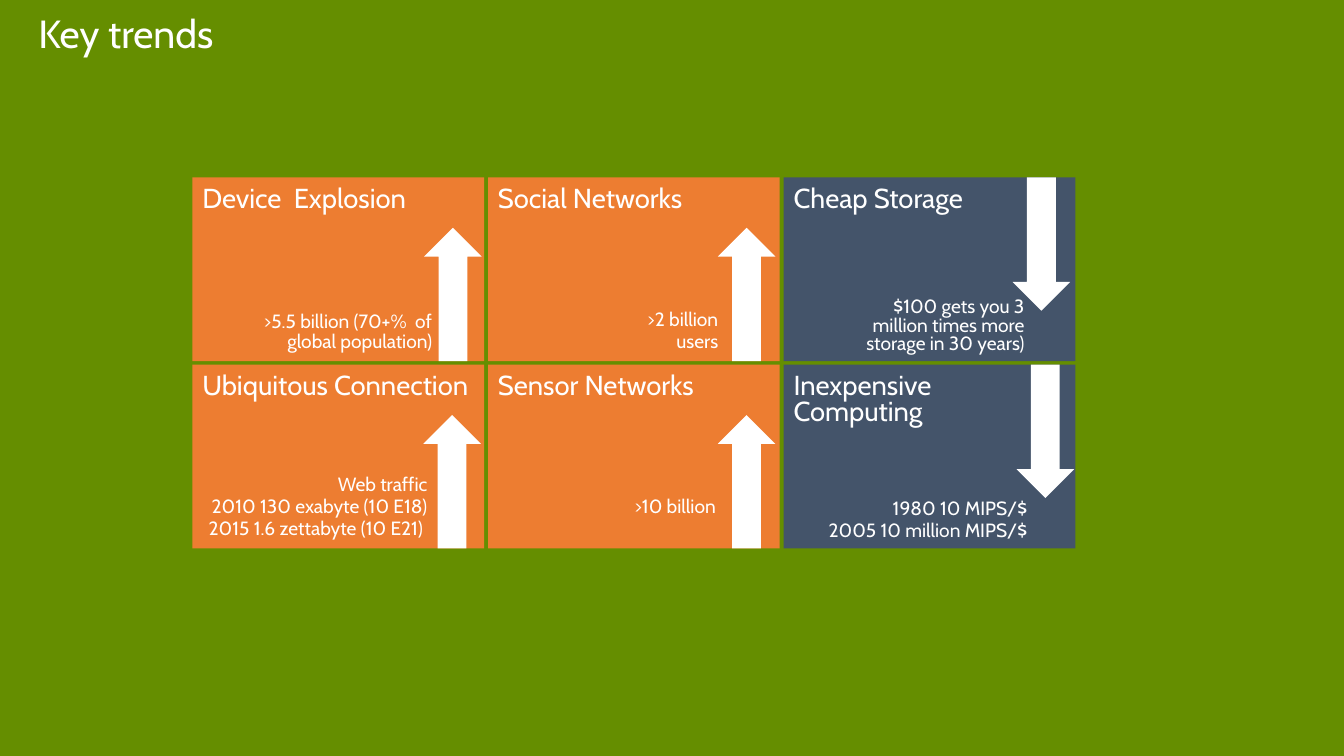
import pptx
import pptx.util
import pptx.dml.color
import pptx.enum.shapes
import pptx.enum.text

Cm = pptx.util.Cm
Pt = pptx.util.Pt
Kind = pptx.enum.shapes.MSO_SHAPE
Align = pptx.enum.text.PP_ALIGN
Anchor = pptx.enum.text.MSO_ANCHOR

GREEN, ORANGE, SLATE, WHITE = "658E00", "ED7D31", "44546A", "FFFFFF"
WIDE, HIGH = 7.35, 4.63
STEP_X, STEP_Y = 7.45, 4.72

# name, fill, rising, arrow left, note right, note top, note width, spacing, note
TRENDS = [
    ("Device  Explosion", ORANGE, True, 5.84, 6.04, 3.38, 5.0, 0.9,
     [">5.5 billion (70+%  of global population)"]),
    ("Social Networks", ORANGE, True, 5.79, 5.8, 3.38, 4.45, 0.8,
     [">2 billion", "users"]),
    ("Cheap Storage", SLATE, False, 5.77, 6.07, 3.07, 4.4, 0.8,
     ["$100 gets you 3 million times more storage in 30 years)"]),
    ("Ubiquitous Connection", ORANGE, True, 5.82, 5.92, 2.82, 6.1, 0.8,
     ["Web traffic", "2010 130 exabyte (10 E18)", "2015 1.6 zettabyte (10 E21) "]),
    ("Sensor Networks", ORANGE, True, 5.79, 5.74, 3.38, 4.5, 0.8,
     [">10 billion"]),
    ("Inexpensive Computing", SLATE, False, 5.87, 6.25, 3.43, 5.36, 0.8,
     ["1980 10 MIPS/$ ", "2005 10 million MIPS/$ "]),
]


def paint(fill, code):
    fill.solid()
    fill.fore_color.rgb = pptx.dml.color.RGBColor.from_string(code)


def write(shape, lines, size=13.7, align=Align.LEFT, line=0.8, before=0,
          anchor=Anchor.TOP, inset=(0, 0, 0, 0)):
    frame = shape.text_frame
    frame.word_wrap = True
    frame.vertical_anchor = anchor
    (frame.margin_left, frame.margin_top,
     frame.margin_right, frame.margin_bottom) = [Cm(gap) for gap in inset]
    for i, words in enumerate(lines):
        para = frame.paragraphs[0] if i == 0 else frame.add_paragraph()
        para.alignment = align
        para.line_spacing = line
        para.space_before = Pt(before)
        run = para.add_run()
        run.text = words
        run.font.name = "Cabin"
        run.font.size = Pt(size)
        paint(run.font.fill, WHITE)


def block(slide, kind, left, top, width, height, code):
    shape = slide.shapes.add_shape(kind, Cm(left), Cm(top), Cm(width), Cm(height))
    shape.shadow.inherit = False
    shape.line.fill.background()
    paint(shape.fill, code)
    return shape


def label(slide, left, top, width, height):
    return slide.shapes.add_textbox(Cm(left), Cm(top), Cm(width), Cm(height))


def header(slide, left, top, width, height):
    box = label(slide, left, top, width, height)
    write(box, ["Key trends"], size=28, line=0.9, anchor=Anchor.MIDDLE,
          inset=(0.97, 0.13, 0.25, 0.13))


def tile(slide, left, top, trend):
    name, code, rising, shift, right, drop, width, line, note = trend
    card = block(slide, Kind.RECTANGLE, left, top, WIDE, HIGH, code)
    write(card, [name], size=19.6, inset=(0.25,) * 4)
    tall = 3.36
    kind = Kind.UP_ARROW if rising else Kind.DOWN_ARROW
    start = top + HIGH - tall if rising else top
    block(slide, kind, left + shift, start, 1.45, tall, WHITE)
    box = label(slide, left + right - width, top + drop, width, 4.48 - drop)
    write(box, note, align=Align.RIGHT, line=line, before=2.74)


def grid(slide, left, top):
    for i, trend in enumerate(TRENDS):
        row, col = divmod(i, 3)
        tile(slide, left + col * STEP_X, top + row * STEP_Y, trend)


def main():
    deck = pptx.Presentation()
    deck.slide_width, deck.slide_height = Cm(33.87), Cm(19.05)
    slide = deck.slides.add_slide(deck.slide_layouts[6])
    paint(slide.background.fill, GREEN)
    grid(slide, 4.85, 4.47)
    header(slide, 0, 0, 33.87, 1.78)
    deck.save("out.pptx")


if __name__ == "__main__":
    main()
